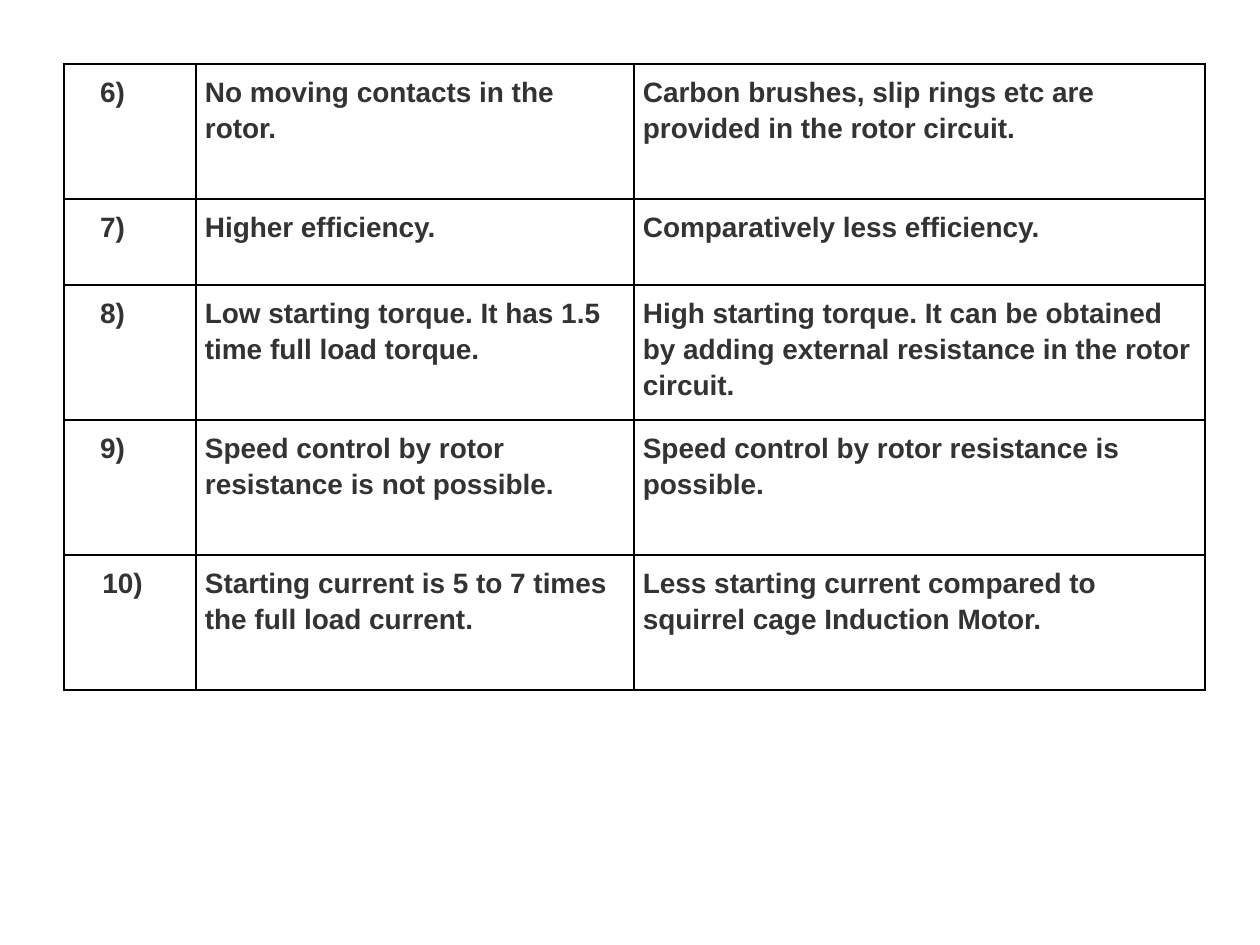
"""Build a slide with a table comparing squirrel cage and slip ring motors."""
from lxml import etree
from pptx import Presentation
from pptx.dml.color import RGBColor
from pptx.enum.text import PP_ALIGN
from pptx.oxml.ns import qn
from pptx.util import Pt

CENTER, LEFT = PP_ALIGN.CENTER, PP_ALIGN.LEFT
SCALE = 914400 / 126
INSET = 9
COLUMN_WIDTHS = [132, 438, 571]
ROW_HEIGHTS = [135, 86, 135, 135, 135]
ROWS = [
    ("6)", "No moving contacts in the rotor.",
     "Carbon brushes, slip rings etc are provided in the rotor circuit."),
    ("7)", "Higher efficiency.", "Comparatively less efficiency."),
    ("8)", "Low starting torque. It has 1.5 time full load torque.",
     "High starting torque. It can be obtained by adding external resistance in the rotor circuit."),
    ("9)", "Speed control by rotor resistance is not possible.",
     "Speed control by rotor resistance is possible."),
    ("10)", "Starting current is 5 to 7 times the full load current.",
     "Less starting current compared to squirrel cage Induction Motor."),
]


def px(length):
    return round(length * SCALE)


def color(value):
    return RGBColor.from_string(value)


deck = Presentation()
deck.slide_width, deck.slide_height = px(1260), px(945)
page = deck.slides.add_slide(deck.slide_layouts[6])

frame = page.shapes.add_table(
    len(ROWS), len(COLUMN_WIDTHS), px(64), px(64),
    px(sum(COLUMN_WIDTHS)), px(sum(ROW_HEIGHTS)))
table = frame.table
table.first_row = table.horz_banding = False
for column, width in zip(table.columns, COLUMN_WIDTHS):
    column.width = px(width)

for row, height, texts in zip(table.rows, ROW_HEIGHTS, ROWS):
    row.height = px(height)
    for index, (cell, text) in enumerate(zip(row.cells, texts)):
        cell.margin_left = cell.margin_right = px(INSET)
        cell.margin_top = cell.margin_bottom = px(INSET)

        properties = cell._tc.get_or_add_tcPr()
        for side in ("a:lnL", "a:lnR", "a:lnT", "a:lnB"):
            line = etree.SubElement(properties, qn(side), w=str(Pt(1)))
            solid = etree.SubElement(line, qn("a:solidFill"))
            etree.SubElement(solid, qn("a:srgbClr"), val="000000")
        cell.fill.solid()
        cell.fill.fore_color.rgb = color("FFFFFF")

        cell.text_frame.text = text
        para = cell.text_frame.paragraphs[0]
        para.line_spacing = 1.15
        if index == 0:
            para.alignment = CENTER
            cell.margin_right = px(INSET + (35 if len(text) == 2 else 15))
        else:
            para.alignment = LEFT
            para.space_after = Pt(6)
        font = para.runs[0].font
        font.name, font.size, font.bold = "Arial", Pt(16), True
        font.color.rgb = color("333333")

deck.save("out.pptx")
